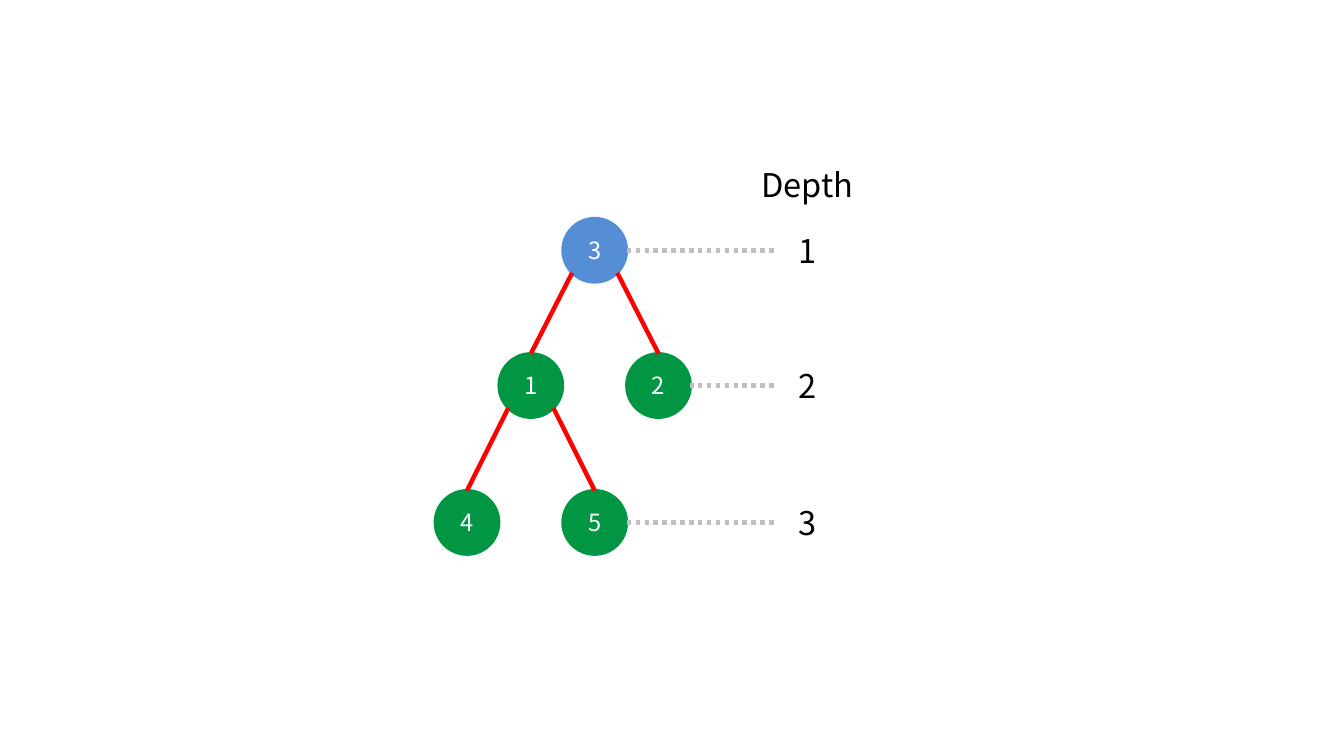
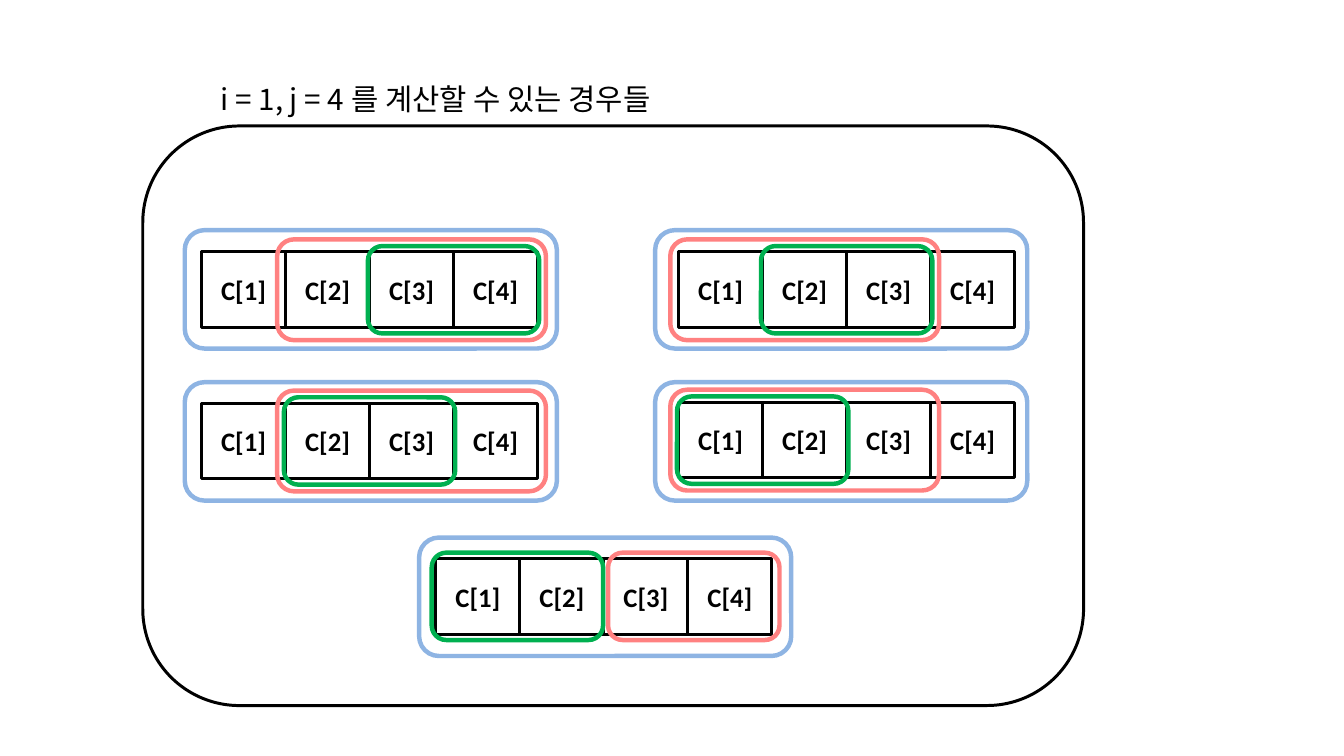
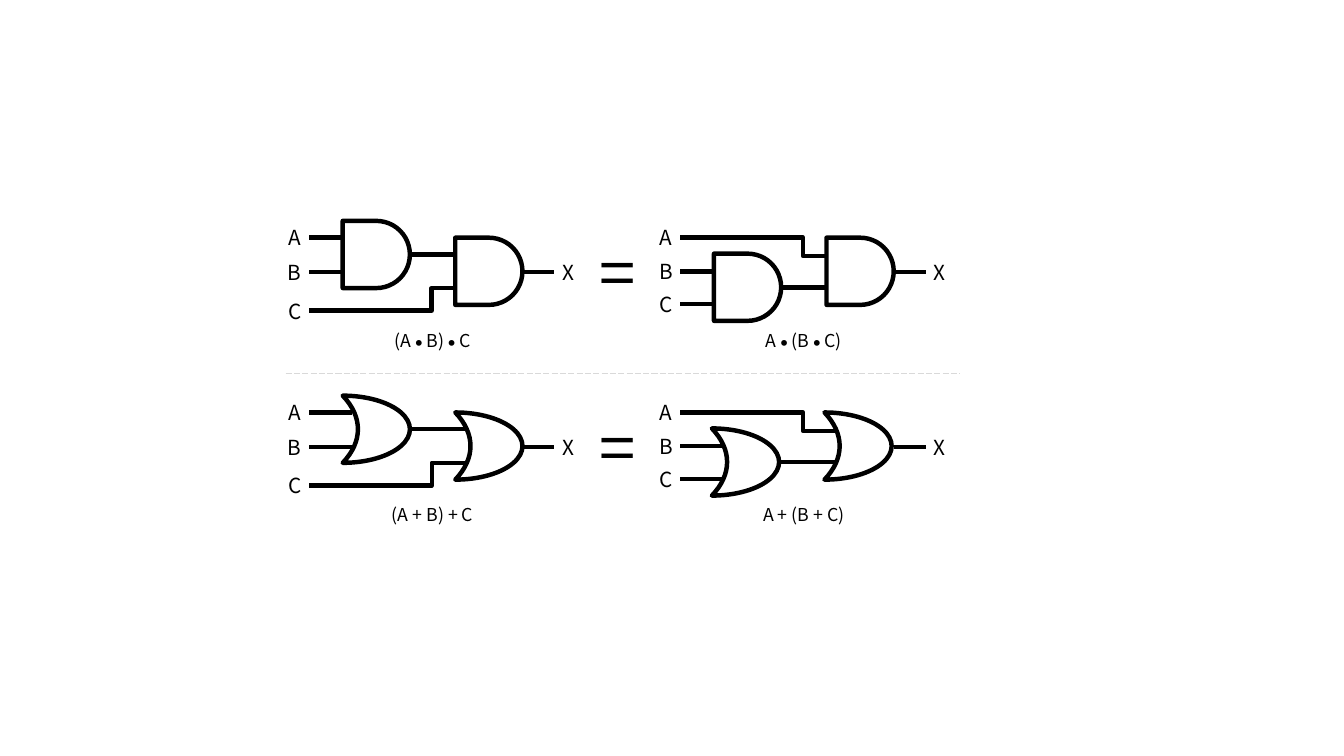
import math

from lxml import etree
from pptx import Presentation
from pptx import util as u
from pptx.dml.color import RGBColor
from pptx.enum import dml, shapes, text
from pptx.oxml.ns import qn

COLUMNS, ROWS = 160, 90
SANS, LATIN, MATH = "Noto Sans CJK KR", "Calibri", "Cambria"
COLORS = {
    "black": "000000", "white": "FFFFFF", "root": "558ED5", "node": "009644",
    "edge": "FF0000", "guide": "BFBFBF", "divider": "D9D9D9",
    "outer": "8EB4E3", "middle": "FF8181", "inner": "00B050",
}
SHAPE = shapes.MSO_SHAPE
DASH = dml.MSO_LINE


class Deck:
    """Holds the style and the current slide; lengths are grid columns and rows."""

    def __init__(self):
        self.presentation = Presentation()
        self.presentation.slide_width = u.Mm(320)
        self.presentation.slide_height = u.Mm(180)
        self.slide = None

    def x(self, columns):
        return round(self.presentation.slide_width * columns / COLUMNS)

    def y(self, rows):
        return round(self.presentation.slide_height * rows / ROWS)

    def box(self, left, top, width, height):
        return self.x(left), self.y(top), self.x(width), self.y(height)

    def color(self, name):
        return RGBColor.from_string(COLORS[name])

    def add_slide(self, layout="Blank"):
        layouts = self.presentation.slide_layouts
        self.slide = self.presentation.slides.add_slide(layouts.get_by_name(layout))

    def set_text(self, shape, runs, size, color="black", bold=False, font=SANS,
                 align=text.PP_ALIGN.CENTER, inset=0):
        """Fill a shape with one paragraph; runs is a string or (text, font) pairs."""
        frame = shape.text_frame
        frame.word_wrap = True
        frame.auto_size = text.MSO_AUTO_SIZE.NONE
        frame.vertical_anchor = text.MSO_ANCHOR.MIDDLE
        frame.margin_left = frame.margin_right = u.Inches(inset)
        frame.margin_top = frame.margin_bottom = 0
        paragraph = frame.paragraphs[0]
        paragraph.alignment = align
        for words, face in [(runs, font)] if isinstance(runs, str) else runs:
            run = paragraph.add_run()
            run.text = words
            run.font.size = u.Pt(size)
            run.font.bold = bold
            run.font.color.rgb = self.color(color)
            run.font.name = face
            latin = run.font._element.find(qn("a:latin"))
            east_asian = etree.Element(qn("a:ea"), typeface=face)
            latin.addnext(east_asian)

    def title(self, words, place, size):
        shape = self.slide.shapes.title
        shape.left, shape.top, shape.width, shape.height = self.box(*place)
        self.set_text(shape, words, size, align=text.PP_ALIGN.LEFT, inset=0.1)

    def label(self, runs, center_x, center_y, width, height, size):
        shape = self.slide.shapes.add_textbox(
            *self.box(center_x - width / 2, center_y - height / 2, width, height))
        self.set_text(shape, runs, size)

    def shape(self, kind, place, line="black", width=2, fill=None):
        shape = self.slide.shapes.add_shape(kind, *self.box(*place))
        shape.shadow.inherit = False
        if fill:
            shape.fill.solid()
            shape.fill.fore_color.rgb = self.color(fill)
        else:
            shape.fill.background()
        shape.line.color.rgb = self.color(line)
        shape.line.width = u.Pt(width)
        return shape

    def line(self, start, end, color="black", width=3, dash=None, knee=None):
        """Straight line, or an elbow that turns at column knee."""
        kinds = shapes.MSO_CONNECTOR
        connector = self.slide.shapes.add_connector(
            kinds.STRAIGHT if knee is None else kinds.ELBOW,
            self.x(start[0]), self.y(start[1]), self.x(end[0]), self.y(end[1]))
        connector.line.color.rgb = self.color(color)
        connector.line.width = u.Pt(width)
        if dash:
            connector.line.dash_style = dash
        properties = connector._element.spPr
        etree.SubElement(properties, qn("a:effectLst"))
        if knee is not None:
            share = round((knee - start[0]) / (end[0] - start[0]) * 100000)
            guides = properties.find(qn("a:prstGeom")).get_or_add_avLst()
            etree.SubElement(guides, qn("a:gd"), name="adj1", fmla=f"val {share}")


def tree_slide(deck):
    deck.add_slide()
    diameter = 7.6
    radius = diameter / 2
    levels = [29.8, 45.9, 62.2]
    label_x = 96.1
    # Value: (half-steps from the left, level, parent)
    nodes = {"3": (2, 0, None), "1": (1, 1, "3"), "2": (3, 1, "3"),
             "4": (0, 2, "1"), "5": (2, 2, "1")}
    centers = {value: (55.6 + diameter * step, levels[level])
               for value, (step, level, _) in nodes.items()}

    # Nodes
    for value, (x, y) in centers.items():
        color = "node" if nodes[value][2] else "root"
        circle = deck.shape(SHAPE.OVAL, (x - radius, y - radius, diameter, diameter),
                            line=color, fill=color)
        deck.set_text(circle, value, 16, "white")

    # Edges leave the parent at 45 degrees and reach the top of the child
    reach = radius * math.sqrt(0.5)
    for value, (_, _, parent) in nodes.items():
        if parent:
            x, y = centers[value]
            parent_x, parent_y = centers[parent]
            side = math.copysign(reach, x - parent_x)
            deck.line((parent_x + side, parent_y + reach), (x, y - radius), "edge")

    # Depth scale
    deck.label("Depth", label_x, 22, 16, 6, 22)
    for depth, last in enumerate("325", start=1):
        x, y = centers[last]
        deck.line((92.1, y), (x + radius, y), "guide", dash=DASH.ROUND_DOT)
        deck.label(str(depth), label_x, y, 7.5, 6, 22)


def grouping_slide(deck):
    deck.add_slide("Title Only")
    cell_width, cell_height = 10, 9
    deck.title("i = 1, j = 4 를 계산할 수 있는 경우들", (25, 9, 65, 5.6), 20)
    deck.shape(SHAPE.ROUNDED_RECTANGLE, (17, 15, 112, 69))

    def ring(color, left, top, first, count, margin_x, margin_y):
        deck.shape(SHAPE.ROUNDED_RECTANGLE,
                   (left + first * cell_width - margin_x, top - margin_y,
                    count * cell_width + 2 * margin_x, cell_height + 2 * margin_y),
                   line=color, width=3)

    # Array corner, frame corner, middle ring and inner ring (first cell, cells)
    cases = [
        ((24, 30), (22, 27.4), (1, 3), (2, 2)),
        ((24, 48), (22, 45.5), (1, 3), (1, 2)),
        ((80.8, 30), (78, 27.4), (0, 3), (1, 2)),
        ((80.8, 47.9), (78, 45.5), (0, 3), (0, 2)),
        ((51.9, 66.5), (49.9, 64), (2.07, 2), (-0.03, 2)),
    ]
    for (left, top), frame, middle, inner in cases:
        for index in range(4):
            cell = deck.shape(SHAPE.RECTANGLE, (left + index * cell_width, top,
                                                cell_width, cell_height))
            deck.set_text(cell, f"C[{index + 1}]", 18, bold=True, font=LATIN)
        wide = middle[1] == 3
        ring("middle", left, top, *middle, 1 if wide else 0.2, 1.5 if wide else 0.7)
        ring("inner", left, top, *inner, 0.2, 0.7)
        deck.shape(SHAPE.ROUNDED_RECTANGLE, (*frame, 44.3, 14.1), line="outer", width=3)


def circuit(deck, left, top, kind, paired_first, formula):
    """Two chained gates; the first takes A and B, or else B and C."""
    size = 8
    rounded = kind == SHAPE.MOON
    dip = 1.4 if rounded else 0  # how far wires run into the curved back
    shift = -0.25 if rounded and not paired_first else 0
    levels = (2, 6.1, 10.7) if paired_first else (2, 6, 9.9)
    first_x, first_y = left + 7.9, top + (0 if paired_first else 3.9)
    second_x, second_y = left + 21.3, top + 2
    wire_x, output_y = left + 3.9, top + 6.1

    # Inputs: two straight wires and one elbow
    for name, level in zip("ABC", levels):
        y = top + level
        deck.label(name, left + 2.2, y, 4.4, 4.3, 14)
        if name == ("C" if paired_first else "A"):
            end_y = top + (8 if paired_first else 4.2)
            deck.line((wire_x, y), (second_x + dip, end_y), knee=left + 18.5)
        else:
            deck.line((wire_x, y), (first_x + dip * 0.8, y))

    # Link, output and gates
    middle_y = first_y + size / 2
    deck.line((first_x + size, middle_y), (second_x + dip, middle_y))
    deck.line((second_x + size, output_y), (left + 33.1, output_y))
    deck.label("X", left + 34.8, output_y, 4.4, 4.3, 14)
    for x, y in ((first_x, first_y), (second_x, second_y)):
        gate = deck.shape(kind, (x + shift, y, size, size), width=3)
        if rounded:
            gate.adjustments[0] = 0.774
            gate.rotation = 180
    deck.label(formula, left + 18.6, top + 14.2, 30.4, 3.8, 12)


def gates_slide(deck):
    deck.add_slide()
    dot = ("⦁", MATH)
    lefts = (32.9, 77.1)
    laws = [
        (SHAPE.FLOWCHART_DELAY,
         [("(A ", SANS), dot, (" B) ", SANS), dot, (" C", SANS)],
         [("A ", SANS), dot, (" (B ", SANS), dot, (" C)", SANS)]),
        (SHAPE.MOON, "(A + B) + C", "A + (B + C)"),
    ]
    for row, (kind, *formulas) in enumerate(laws):
        top = 26.3 + 20.8 * row
        for left, paired_first, formula in zip(lefts, (True, False), formulas):
            circuit(deck, left, top, kind, paired_first, formula)
        deck.label("=", 73.5, top + 6, 9.7, 10.7, 44)
    deck.line((34, 44.5), (114.2, 44.5), "divider", 0.5, DASH.LONG_DASH)


def main():
    deck = Deck()
    tree_slide(deck)
    grouping_slide(deck)
    gates_slide(deck)
    deck.presentation.save("out.pptx")


if __name__ == "__main__":
    main()
